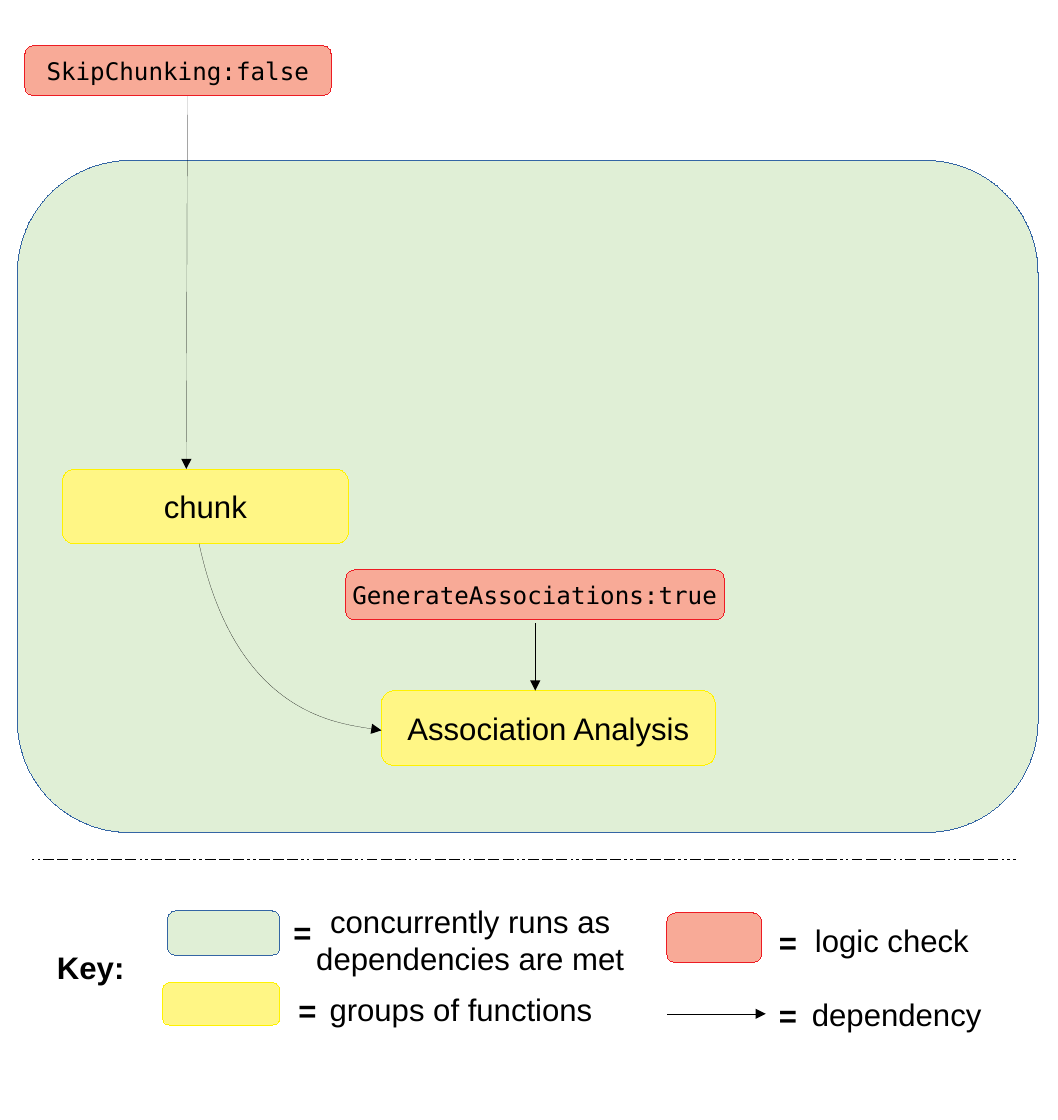
import pptx
import pptx.dml.color
import pptx.enum.shapes
import pptx.enum.text
import pptx.oxml.ns
import pptx.util
from lxml import etree

Pt = pptx.util.Pt
RGBColor = pptx.dml.color.RGBColor
MSO_SHAPE = pptx.enum.shapes.MSO_SHAPE
MSO_CONNECTOR = pptx.enum.shapes.MSO_CONNECTOR
MSO_ANCHOR = pptx.enum.text.MSO_ANCHOR
PP_ALIGN = pptx.enum.text.PP_ALIGN
qn = pptx.oxml.ns.qn

BLACK = RGBColor(0x00, 0x00, 0x00)
GREEN = RGBColor(0xC2, 0xE0, 0xAE)
BLUE = RGBColor(0x34, 0x65, 0xA4)
YELLOW = RGBColor(0xFF, 0xF6, 0x85)
YELLOW_EDGE = RGBColor(0xFF, 0xF2, 0x00)
SALMON = RGBColor(0xF8, 0xAA, 0x97)
RED = RGBColor(0xED, 0x1C, 0x24)

CONCURRENT = (GREEN, BLUE, 50)
FUNCTIONS = (YELLOW, YELLOW_EDGE, 100)
LOGIC = (SALMON, RED, 100)
DASHES = [(115, 320)] * 2 + [(750, 320)] * 3


def write(tf, text, size=18, font="Arial", bold=False, align=PP_ALIGN.CENTER, wrap=True):
    tf.word_wrap = wrap
    p = tf.paragraphs[0]
    p.alignment = align
    r = p.add_run()
    r.text = text
    r.font.size = Pt(size)
    r.font.name = font
    r.font.bold = bold
    r.font.color.rgb = BLACK


class Diagram:
    def __init__(self, slide):
        self.s = slide
        self.line_width = Pt(0)

    def outline(self, sp, color=BLACK, arrow=False, dashes=()):
        sp.line.color.rgb = color
        ln = sp.line._get_or_add_ln()
        ln.set("w", str(int(self.line_width)))
        if dashes:
            cust = etree.SubElement(ln, qn("a:custDash"))
            for d, gap in dashes:
                etree.SubElement(cust, qn("a:ds"), d=str(d * 1000), sp=str(gap * 1000))
        if arrow:
            etree.SubElement(ln, qn("a:tailEnd"), type="triangle")

    def box(self, x, y, w, h, look, text="", **fmt):
        fill, edge, opacity = look
        sp = self.s.shapes.add_shape(MSO_SHAPE.ROUNDED_RECTANGLE, Pt(x), Pt(y), Pt(w), Pt(h))
        sp.shadow.inherit = False
        sp.fill.solid()
        sp.fill.fore_color.rgb = fill
        if opacity < 100:
            clr = sp._element.spPr.find(".//" + qn("a:srgbClr"))
            etree.SubElement(clr, qn("a:alpha"), val=str(opacity * 1000))
        self.outline(sp, edge)
        if text:
            sp.text_frame.vertical_anchor = MSO_ANCHOR.MIDDLE
            write(sp.text_frame, text, wrap=False, **fmt)

    def label(self, x, y, w, h, text, **fmt):
        sp = self.s.shapes.add_textbox(Pt(x), Pt(y), Pt(w), Pt(h))
        write(sp.text_frame, text, **fmt)

    def line(self, x1, y1, x2, y2, arrow=True, dashes=()):
        sp = self.s.shapes.add_connector(MSO_CONNECTOR.STRAIGHT, Pt(x1), Pt(y1), Pt(x2), Pt(y2))
        self.outline(sp, arrow=arrow, dashes=dashes)
        etree.SubElement(sp._element.spPr, qn("a:effectLst"))

    def curve(self, start, *points):
        fb = self.s.shapes.build_freeform(Pt(start[0]), Pt(start[1]))
        fb.add_line_segments([(Pt(x), Pt(y)) for x, y in points], close=False)
        sp = fb.convert_to_shape()
        sp.shadow.inherit = False
        sp.fill.background()
        path = sp._element.spPr.find(".//" + qn("a:path"))
        bezier = etree.SubElement(path, qn("a:cubicBezTo"))
        for seg in path.findall(qn("a:lnTo")):
            bezier.append(seg[0])
            path.remove(seg)
        self.outline(sp, arrow=True)


def main():
    prs = pptx.Presentation()
    prs.slide_width, prs.slide_height = Pt(612), Pt(648)
    d = Diagram(prs.slides.add_slide(prs.slide_layouts[6]))
    mono = {"size": 14, "font": "DejaVu Sans Mono"}

    d.box(10.1, 92.9, 590.4, 388.8, CONCURRENT)
    d.box(36, 271.4, 165.6, 43.2, FUNCTIONS, "chunk")
    d.box(220.7, 399.6, 193, 43.2, FUNCTIONS, "Association Analysis")
    d.curve((115.2, 314.6), (136.8, 415.4), (220.7, 422.6), (220.7, 422.6))
    d.line(108.4, 55, 107.8, 271.4)
    d.box(14.4, 26.4, 177.2, 28.8, LOGIC, "SkipChunking:false", **mono)
    d.box(200, 329.8, 219, 28.8, LOGIC, "GenerateAssociations:true", **mono)
    d.line(309.6, 360.7, 309.6, 399.6)

    d.line(18.7, 497.5, 587.5, 497.5, arrow=False, dashes=DASHES)

    d.label(25.9, 545, 57.6, 27.4, "Key:", bold=True, align=PP_ALIGN.LEFT)
    d.box(97, 527, 64.8, 25.6, CONCURRENT)
    d.box(94, 568.4, 67.9, 24.7, FUNCTIONS)
    d.box(385.7, 528.2, 54.9, 28.6, LOGIC)
    d.line(386, 586.6, 443, 586.6)
    for x, y in [(162.7, 524.9), (165.6, 570.2), (443.5, 530.6), (443.5, 573.1)]:
        d.label(x, y, 28.8, 27.4, "=", bold=True, align=PP_ALIGN.LEFT)
    for x, y, w, h, text in [
        (172, 518.4, 200, 47.5, "concurrently runs as dependencies are met"),
        (170.6, 569.5, 192.2, 27.4, "groups of functions"),
        (419.8, 529.5, 192.2, 27.4, "logic check"),
        (422.6, 572.4, 192.2, 27.4, "dependency"),
    ]:
        d.label(x, y, w, h, text)

    prs.save("out.pptx")


if __name__ == "__main__":
    main()
